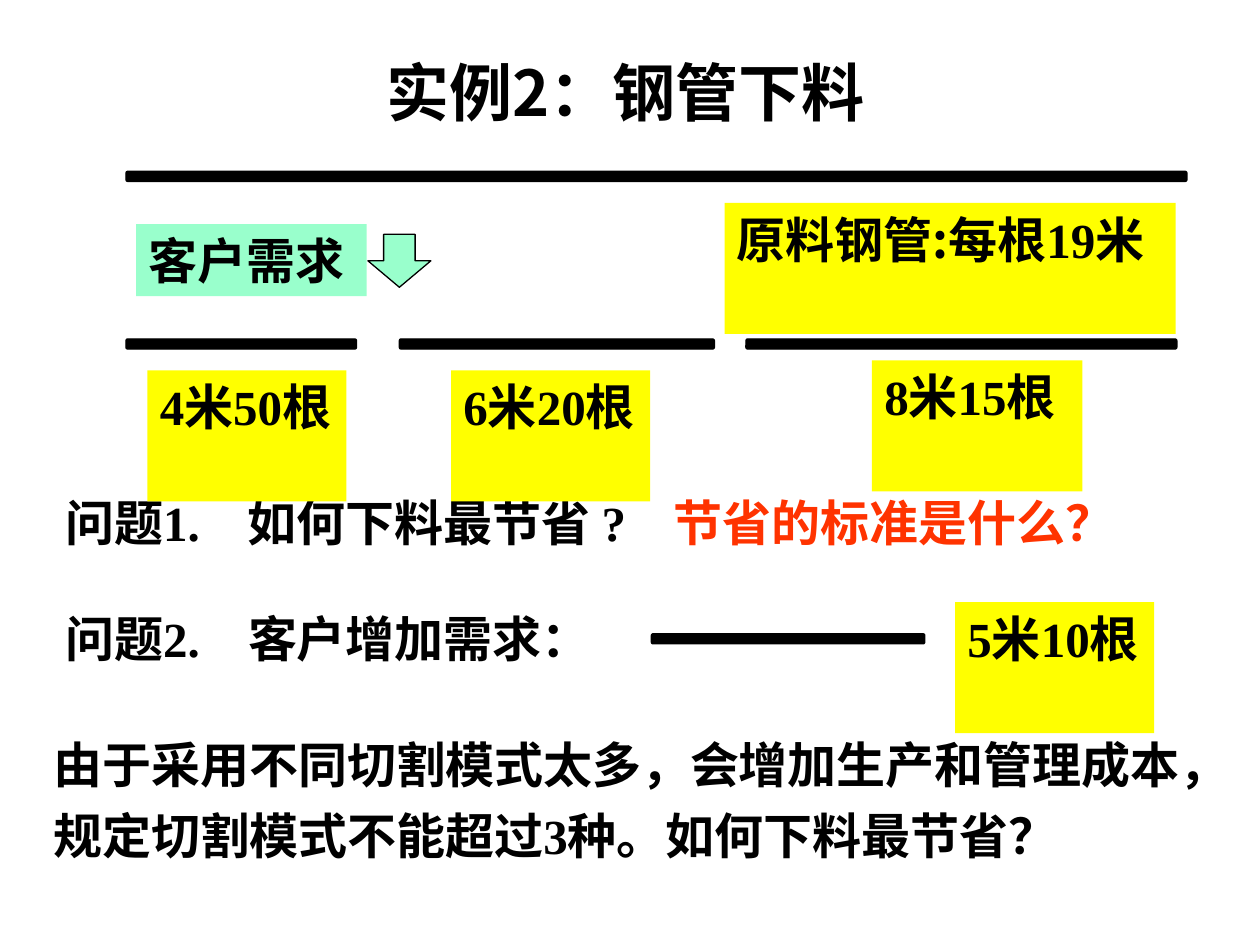
from lxml import etree
from pptx import Presentation
from pptx.dml.color import RGBColor
from pptx.enum.shapes import MSO_SHAPE as Shape
from pptx.enum.text import MSO_ANCHOR as Anchor, MSO_AUTO_SIZE as AutoSize, PP_ALIGN as Align
from pptx.oxml.ns import qn
from pptx.util import Inches, Pt

LATIN, CJK = "Times New Roman", "Noto Sans CJK SC"
BLACK, RED, YELLOW, MINT = "000000", "FF3300", "FFFF00", "99FFCC"
TITLE_ONLY = 5


def colour(value):
    return RGBColor.from_string(value)


def set_font(para, size=28, name=LATIN, text_colour=BLACK):
    """Set the Latin and East Asian fonts of a whole paragraph."""
    font = para.font
    font.size, font.bold, font.name = Pt(size), True, name
    font.color.rgb = colour(text_colour)
    defaults = para._p.pPr.find(qn("a:defRPr"))
    etree.SubElement(defaults, qn("a:ea"), typeface=CJK)


def add_tab(para, position):
    tabs = etree.SubElement(para._p.get_or_add_pPr(), qn("a:tabLst"))
    etree.SubElement(tabs, qn("a:tab"), pos=str(Inches(position)), algn="l")


def add_text(page, left, top, width, height, *spans, fill=None,
             text_colour=BLACK, tab=None, spacing=None):
    """Add a box of one paragraph; a span is a text or a (text, font) pair."""
    box = page.shapes.add_textbox(Inches(left), Inches(top), Inches(width), Inches(height))
    frame = box.text_frame
    frame.word_wrap = True
    frame.auto_size = AutoSize.SHAPE_TO_FIT_TEXT
    if fill:
        box.fill.solid()
        box.fill.fore_color.rgb = colour(fill)
    para = frame.paragraphs[0]
    if tab:
        add_tab(para, tab)
    if spacing:
        para.line_spacing = spacing
    set_font(para, text_colour=text_colour)
    for item in spans:
        text, name = item if isinstance(item, tuple) else (item, None)
        span = para.add_run()
        span.text = text
        if name:
            span.font.name = name


def add_solid(page, kind, left, top, width, height, fill):
    shape = page.shapes.add_shape(kind, Inches(left), Inches(top), Inches(width), Inches(height))
    shape.shadow.inherit = False
    shape.fill.solid()
    shape.fill.fore_color.rgb = colour(fill)
    shape.line.color.rgb = colour(BLACK)
    shape.line.width = Pt(0.75)


def add_pipe(page, left, top, width, label, label_box):
    """Draw a pipe; label_box is the label's offset from it and its width."""
    add_solid(page, Shape.ROUNDED_RECTANGLE, left, top, width, 0.08, BLACK)
    dx, dy, label_width = label_box
    add_text(page, left + dx, top + dy, label_width, 1.04, *label, fill=YELLOW)


def add_title(page, left, top, width, height):
    title = page.shapes.title
    title.left, title.top = Inches(left), Inches(top)
    title.width, title.height = Inches(width), Inches(height)
    frame = title.text_frame
    frame.text = "实例2：钢管下料"
    frame.auto_size = AutoSize.NONE
    frame.vertical_anchor = Anchor.TOP
    para = frame.paragraphs[0]
    para.alignment = Align.CENTER
    para.line_spacing = 0.9
    set_font(para, 36, CJK)


def add_demand(page, left, top):
    """Add the customer demand tag, its arrow and the three ordered lengths."""
    add_solid(page, Shape.DOWN_ARROW, left + 1.92, top + 0.25, 0.5, 0.42, MINT)
    add_text(page, left + 0.08, top + 0.17, 1.83, 0.57, "客户需求", fill=MINT)
    orders = [
        (0, 1.83, "4米50根", (0.17, 0.25, 1.58)),
        (2.17, 2.5, "6米20根", (0.41, 0.25, 1.58)),
        (4.92, 3.42, "8米15根", (1, 0.17, 1.67)),
    ]
    for offset, width, label, label_box in orders:
        add_pipe(page, left + offset, top + 1.08, width, [label], label_box)


def add_first_question(page, left, top):
    add_text(page, left, top, 4.5, 1.04, "问题1.\t如何下料最节省 ?", tab=1.45)
    add_text(page, left + 4.83, top, 3.83, 0.57, "节省的标准是什么？", text_colour=RED)


def add_second_question(page, left, top):
    add_text(page, left, top, 4.58, 0.57, "问题2.\t客户增加需求：", tab=1.45)
    add_text(page, left - 0.09, top + 0.91, 9.42, 1.22,
             "由于采用不同切割模式太多，会增加生产和管理成本，"
             "规定切割模式不能超过3种。如何下料最节省？", spacing=1.2)
    add_pipe(page, left + 4.75, top + 0.25, 2.17, ["5米10根"], (2.41, -0.25, 1.58))


def main():
    deck = Presentation()
    deck.slide_width, deck.slide_height = Inches(10), Inches(7.5)
    page = deck.slides.add_slide(deck.slide_layouts[TITLE_ONLY])
    add_title(page, 2.8, 0.44, 4.33, 0.58)
    add_first_question(page, 0.42, 3.86)
    add_pipe(page, 1, 1.36, 8.42, [("原料钢管:每根", CJK), "19米"], (4.75, 0.25, 3.58))
    add_demand(page, 1, 1.61)
    add_second_question(page, 0.42, 4.78)
    deck.save("out.pptx")


if __name__ == "__main__":
    main()
